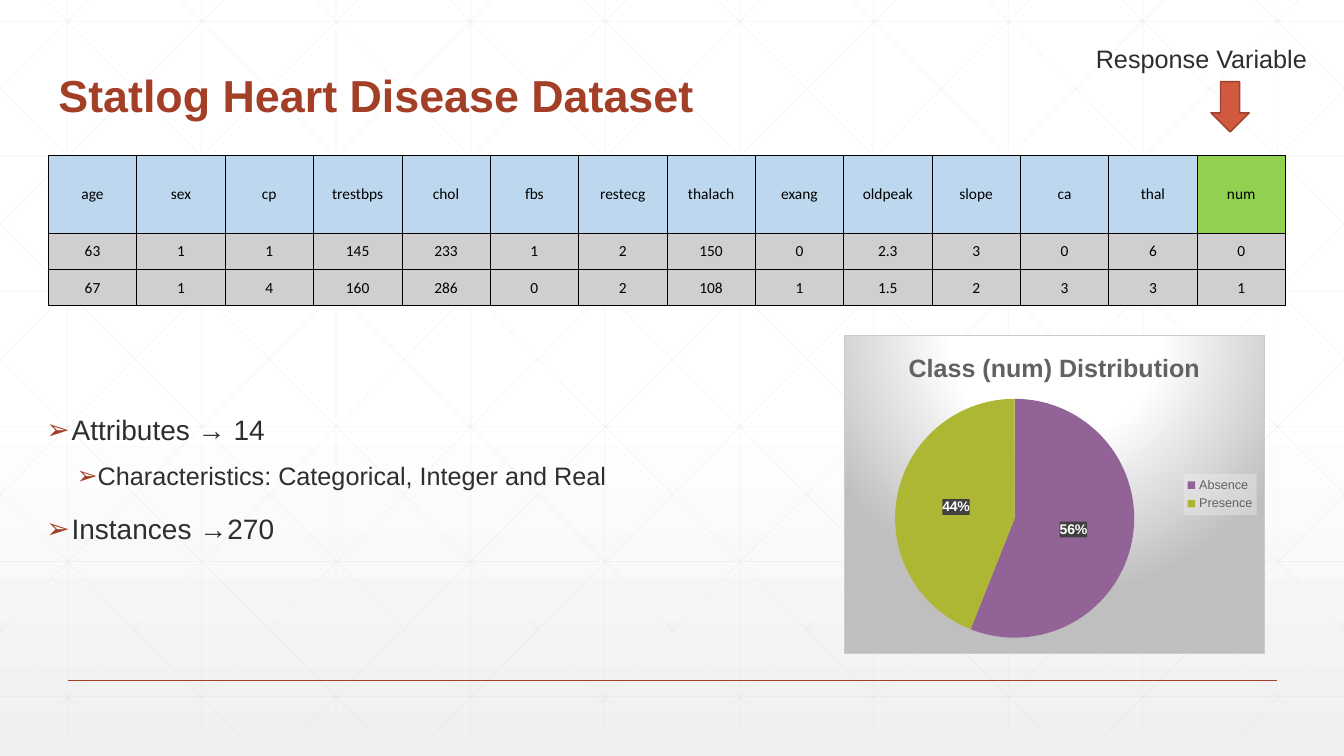
from dataclasses import dataclass

from lxml.etree import SubElement
from pptx import Presentation
from pptx.chart.data import CategoryChartData
from pptx.dml.color import RGBColor
from pptx.enum.chart import XL_CHART_TYPE as ChartType, XL_LABEL_POSITION as LabelPosition
from pptx.enum.chart import XL_LEGEND_POSITION as LegendPosition
from pptx.enum.shapes import MSO_CONNECTOR as Connector, MSO_SHAPE as Shape
from pptx.enum.text import MSO_ANCHOR as Anchor, MSO_AUTO_SIZE as AutoSize, PP_ALIGN as Align
from pptx.oxml import parse_xml
from pptx.oxml.ns import nsdecls, qn
from pptx.util import Inches, Pt

TITLE = "Statlog Heart Disease Dataset"
RESPONSE_LABEL = "Response Variable"
BULLETS = [
    (0, "Attributes → 14"),
    (1, "Characteristics: Categorical, Integer and Real"),
    (0, "Instances →270"),
]
TABLE_ROWS = [
    ["age", "sex", "cp", "trestbps", "chol", "fbs", "restecg", "thalach",
     "exang", "oldpeak", "slope", "ca", "thal", "num"],
    ["63", "1", "1", "145", "233", "1", "2", "150", "0", "2.3", "3", "0", "6", "0"],
    ["67", "1", "4", "160", "286", "0", "2", "108", "1", "1.5", "2", "3", "3", "1"],
]
ROW_HEIGHTS = [0.77, 0.36, 0.36]
CHART_TITLE = "Class (num) Distribution"
CLASSES = {"Absence": 56, "Presence": 44}
BULLET_LEVELS = [(0.25, -0.25, 18, 20), (0.5, -0.2, 12, 18)]
PIE_LAYOUT = {"x": 0.12, "y": 0.2, "w": 0.57, "h": 0.75}
WIDTH, HEIGHT = 13.33, 7.5
GRID_TOP, GRID_BOTTOM, GRID_STEP, DIAGONAL_RUN = -0.21, 7.29, 4 / 3, 7.46


@dataclass(frozen=True)
class Theme:
    """Colours, fonts and type sizes of the slide."""
    font: str = "Arial"
    table_font: str = "Calibri"
    accent: str = "A43F27"
    text: str = "2D2E2D"
    muted: str = "616361"
    grid: str = "D9D9D9"
    black: str = "000000"
    white: str = "FFFFFF"
    header: str = "BDD7EE"
    response: str = "92D050"
    data: str = "D0CECE"
    arrow: str = "D15A3E"
    arrow_line: str = "9B432E"
    chart_border: str = "CACBCA"
    label_back: str = "404040"
    legend_back: str = "F2F2F2"
    slices: tuple = ("926397", "AEB733")
    background: tuple = ((0, "FFFFFF"), (53, "FFFFFF"), (100, "F0F0F0"))
    chart_back: tuple = ((0, "FFFFFF"), (39, "FFFFFF"), (100, "BFBFBF"))
    title_size: int = 32
    label_size: int = 18
    table_size: int = 11
    chart_size: int = 10
    legend_size: int = 9


THEME = Theme()


def color(value):
    return RGBColor.from_string(value)


def box(*lengths):
    return [Inches(length) for length in lengths]


def set_font(font, size, value, name=THEME.font, bold=False):
    font.size, font.name, font.bold = Pt(size), name, bold
    font.color.rgb = color(value)


def gradient_xml(stops, direction):
    stop_xml = "".join(f'<a:gs pos="{position * 1000}"><a:srgbClr val="{value}"/></a:gs>'
                       for position, value in stops)
    return f'<a:gradFill rotWithShape="1"><a:gsLst>{stop_xml}</a:gsLst>{direction}</a:gradFill>'


def solid_xml(value, alpha=100):
    return (f'<a:solidFill><a:srgbClr val="{value}"><a:alpha val="{alpha * 1000}"/>'
            '</a:srgbClr></a:solidFill>')


def chart_properties(content):
    return parse_xml(f'<c:spPr {nsdecls("c", "a")}>{content}</c:spPr>')


def set_background(slide):
    fill = gradient_xml(THEME.background, '<a:lin ang="5400000" scaled="0"/>')
    slide.element.cSld.insert(0, parse_xml(
        f'<p:bg {nsdecls("p", "a")}><p:bgPr>{fill}<a:effectLst/></p:bgPr></p:bg>'))


def add_line(slide, start, end, value, width, alpha=100):
    line = slide.shapes.add_connector(Connector.STRAIGHT, *box(*start, *end))
    line.line.width = Pt(width)
    line.line.color.rgb = color(value)
    properties = line._element.spPr
    SubElement(properties.find(".//" + qn("a:srgbClr")), qn("a:alpha"), val=str(alpha * 1000))
    SubElement(properties, qn("a:effectLst"))


def clipped_diagonal(top_x, run):
    slope = (GRID_BOTTOM - GRID_TOP) / run
    ends = [min(max(x, 0), WIDTH) for x in (top_x, top_x + run)]
    return [(x, GRID_TOP + (x - top_x) * slope) for x in ends]


def add_grid(slide):
    columns = [2 / 3 + GRID_STEP * index for index in range(10)]
    rows = [0.21 + 1.34 * index for index in range(6)]
    lines = [((x, GRID_TOP), (x, GRID_BOTTOM)) for x in columns]
    lines += [((0, y), (WIDTH, y)) for y in rows]
    lines += [clipped_diagonal(0.25 + GRID_STEP * index, DIAGONAL_RUN) for index in range(-5, 10)]
    lines += [clipped_diagonal(1.09 + GRID_STEP * index, -DIAGONAL_RUN) for index in range(15)]
    for start, end in lines:
        add_line(slide, start, end, THEME.grid, 0.5, 25)
    add_line(slide, (0.67, 6.75), (12.67, 6.75), THEME.accent, 1)


def place(shape, *bounds):
    shape.left, shape.top, shape.width, shape.height = box(*bounds)
    shape._element.getparent().append(shape._element)
    shape.text_frame.auto_size = AutoSize.NONE


def fill_title(title):
    place(title, 0.48, 0.55, 10.5, 0.71)
    title.text_frame.text = TITLE
    title.text_frame.vertical_anchor = Anchor.BOTTOM
    paragraph = title.text_frame.paragraphs[0]
    paragraph.alignment, paragraph.line_spacing = Align.LEFT, 0.9
    set_font(paragraph.font, THEME.title_size, THEME.accent, bold=True)


def fill_body(body):
    place(body, 0.36, 4.08, 6.42, 1.68)
    body.text_frame.text = "\n".join(text for _, text in BULLETS)
    for paragraph, (level, _) in zip(body.text_frame.paragraphs, BULLETS):
        margin, indent, space, size = BULLET_LEVELS[level]
        paragraph.level, paragraph.line_spacing = level, 0.9
        paragraph.space_before, paragraph.space_after = Pt(space), Pt(0)
        properties = paragraph._p.get_or_add_pPr()
        properties.set("marL", str(Inches(margin)))
        properties.set("indent", str(Inches(indent)))
        SubElement(SubElement(properties, qn("a:buClr")), qn("a:srgbClr"), val=THEME.accent)
        SubElement(properties, qn("a:buFont"), typeface=THEME.font)
        SubElement(properties, qn("a:buChar"), char="➢")
        set_font(paragraph.font, size, THEME.text)


def format_cell(cell, text, fill):
    cell.text = text
    cell.vertical_anchor = Anchor.MIDDLE
    cell.margin_left = cell.margin_right = cell.margin_top = Inches(0.01)
    cell.margin_bottom = 0
    for side in ("lnL", "lnR", "lnT", "lnB"):
        border = SubElement(cell._tc.get_or_add_tcPr(), qn("a:" + side), w=str(Pt(0.5)))
        SubElement(SubElement(border, qn("a:solidFill")), qn("a:srgbClr"), val=THEME.black)
    cell.fill.solid()
    cell.fill.fore_color.rgb = color(fill)
    paragraph = cell.text_frame.paragraphs[0]
    paragraph.alignment = Align.CENTER
    set_font(paragraph.font, THEME.table_size, THEME.black, THEME.table_font)


def add_data_table(slide):
    count = len(TABLE_ROWS[0])
    bounds = box(0.48, 1.54, 12.27, sum(ROW_HEIGHTS))
    table = slide.shapes.add_table(len(TABLE_ROWS), count, *bounds).table
    table.first_row = table.horz_banding = False
    header_fills = [THEME.header] * (count - 1) + [THEME.response]
    for row_index, texts in enumerate(TABLE_ROWS):
        table.rows[row_index].height = Inches(ROW_HEIGHTS[row_index])
        fills = [THEME.data] * count if row_index else header_fills
        for column_index, (text, fill) in enumerate(zip(texts, fills)):
            format_cell(table.cell(row_index, column_index), text, fill)


def add_response_marker(slide):
    label = slide.shapes.add_textbox(*box(10.77, 0.38, 2.31, 0.4))
    label.text_frame.word_wrap = True
    label.text_frame.text = RESPONSE_LABEL
    set_font(label.text_frame.paragraphs[0].font, THEME.label_size, THEME.text)
    arrow = slide.shapes.add_shape(Shape.DOWN_ARROW, *box(12.01, 0.81, 0.38, 0.5))
    arrow.shadow.inherit = False
    arrow.fill.solid()
    arrow.fill.fore_color.rgb = color(THEME.arrow)
    arrow.line.color.rgb, arrow.line.width = color(THEME.arrow_line), Pt(1)


def style_chart_area(chart):
    center = ('<a:path path="circle"><a:fillToRect l="50000" t="-80000" r="50000" b="180000"/>'
              '</a:path>')
    border = f'<a:ln w="{Pt(0.75)}">{solid_xml(THEME.chart_border)}</a:ln>'
    chart._chartSpace.find(qn("c:txPr")).addprevious(
        chart_properties(gradient_xml(THEME.chart_back, center) + border))
    entries = "".join(f'<c:{key} val="{value}"/>' for key, value in PIE_LAYOUT.items())
    plot_area = chart._chartSpace.chart.plotArea
    for layout in plot_area.findall(qn("c:layout")):
        plot_area.remove(layout)
    plot_area.insert(0, parse_xml(
        f'<c:layout {nsdecls("c")}><c:manualLayout><c:layoutTarget val="inner"/>'
        f'<c:xMode val="edge"/><c:yMode val="edge"/>{entries}</c:manualLayout></c:layout>'))


def add_class_chart(slide):
    data = CategoryChartData()
    data.categories = list(CLASSES)
    data.add_series("Series 1", list(CLASSES.values()))
    chart = slide.shapes.add_chart(ChartType.PIE, *box(8.37, 3.32, 4.18, 3.17), data).chart
    set_font(chart.font, THEME.chart_size, THEME.text)
    chart.has_title = True
    chart.chart_title.text_frame.text = CHART_TITLE
    set_font(chart.chart_title.text_frame.paragraphs[0].font, THEME.label_size, THEME.muted, bold=True)
    chart.has_legend = True
    chart.legend.position, chart.legend.include_in_layout = LegendPosition.RIGHT, False
    set_font(chart.legend.font, THEME.legend_size, THEME.muted)
    plot = chart.plots[0]
    plot.vary_by_categories = plot.has_data_labels = True
    labels = plot.data_labels
    labels.show_percentage, labels.show_value = True, False
    labels.number_format, labels.number_format_is_linked = "0%", False
    labels.position = LabelPosition.CENTER
    set_font(labels.font, THEME.chart_size, THEME.white, bold=True)
    for part, back, alpha in ((labels, THEME.label_back, 75), (chart.legend, THEME.legend_back, 39)):
        part._element.find(qn("c:txPr")).addprevious(chart_properties(solid_xml(back, alpha)))
    for index, value in enumerate(THEME.slices):
        fill = plot.series[0].points[index].format.fill
        fill.solid()
        fill.fore_color.rgb = color(value)
    style_chart_area(chart)


def main():
    """Build the heart disease dataset slide."""
    presentation = Presentation()
    presentation.slide_width, presentation.slide_height = box(WIDTH, HEIGHT)
    slide = presentation.slides.add_slide(presentation.slide_layouts[1])
    set_background(slide)
    add_grid(slide)
    fill_title(slide.shapes.title)
    fill_body(slide.placeholders[1])
    add_data_table(slide)
    add_response_marker(slide)
    add_class_chart(slide)
    presentation.save("out.pptx")


if __name__ == "__main__":
    main()
